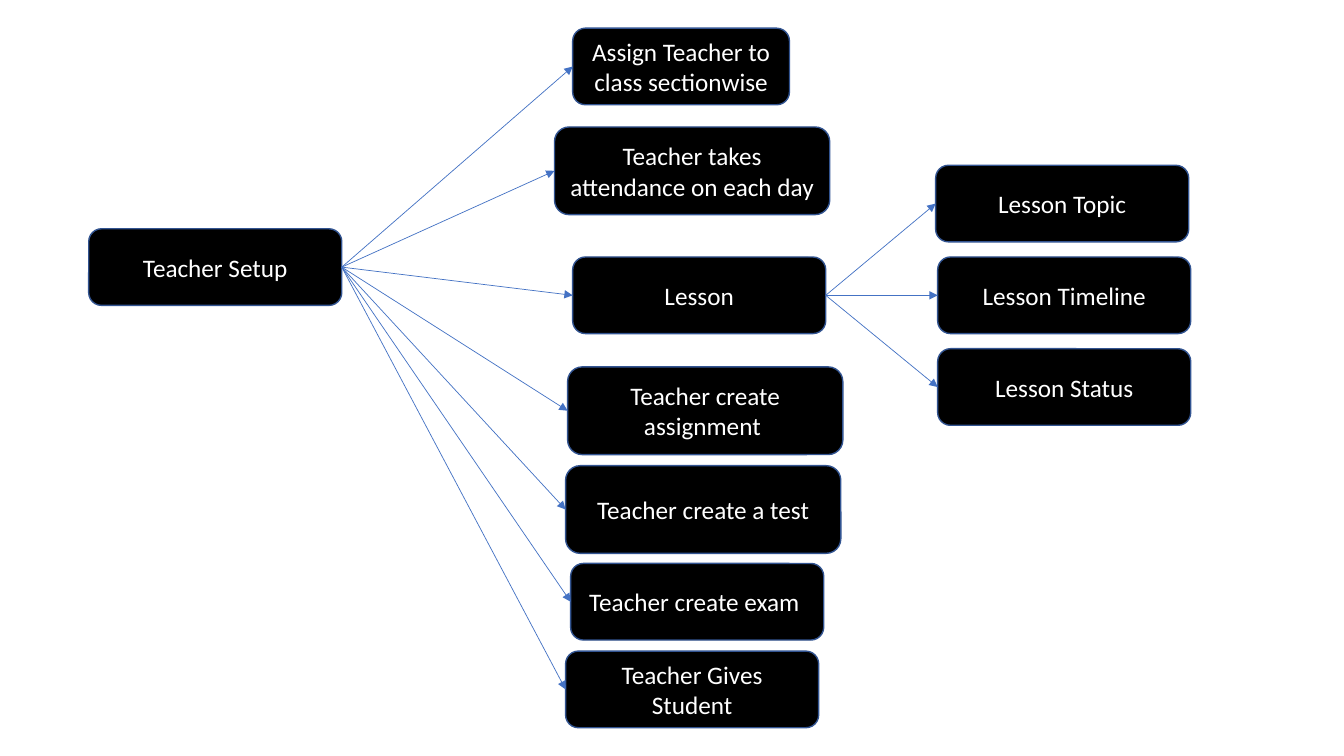
"""Build the teacher setup flow diagram slide."""
from lxml import etree
from pptx import Presentation
from pptx.dml.color import RGBColor
from pptx.enum.shapes import MSO_CONNECTOR, MSO_SHAPE
from pptx.enum.text import MSO_ANCHOR, PP_ALIGN
from pptx.oxml.ns import qn
from pptx.util import Inches, Pt

COLORS = {"box": "000000", "edge": "325491", "arrow": "4472C4", "text": "FFFFFF"}
SMALL, MEDIUM, LARGE = (2.15, 0.76), (2.51, 0.76), (2.73, 0.87)
LEFT_SITE, RIGHT_SITE = 1, 3

ROOT = ("Teacher Setup", 0.88, 2.27, MEDIUM)
TASKS = [
    ("Assign Teacher to class sectionwise", 5.68, 0.28, SMALL),
    ("Teacher takes attendance on each day ", 5.5, 1.26, LARGE),
    ("Lesson", 5.68, 2.55, MEDIUM),
    ("Teacher create assignment ", 5.63, 3.64, LARGE),
    ("Teacher create a test", 5.61, 4.62, LARGE),
    ("Teacher create exam ", 5.66, 5.59, MEDIUM),
    ("Teacher Gives Student", 5.61, 6.46, MEDIUM),
]
LESSONS = [
    ("Lesson Topic", 9.28, 1.64, MEDIUM),
    ("Lesson Timeline", 9.3, 2.55, MEDIUM),
    ("Lesson Status", 9.3, 3.46, MEDIUM),
]


def color(name):
    return RGBColor.from_string(COLORS[name])


def write(shape, text, size=18, font="Calibri", fill="text", align=PP_ALIGN.CENTER):
    frame = shape.text_frame
    frame.word_wrap = True
    frame.vertical_anchor = MSO_ANCHOR.MIDDLE
    para = frame.paragraphs[0]
    para.alignment = align
    run = para.add_run()
    run.text = text
    run.font.size = Pt(size)
    run.font.name = font
    run.font.color.rgb = color(fill)


def add_box(slide, text, left, top, size):
    width, height = size
    box = slide.shapes.add_shape(
        MSO_SHAPE.ROUNDED_RECTANGLE,
        Inches(left), Inches(top), Inches(width), Inches(height))
    box.shadow.inherit = False
    box.fill.solid()
    box.fill.fore_color.rgb = color("box")
    box.line.color.rgb = color("edge")
    box.line.width = Pt(1)
    write(box, text)
    return box


def add_arrow(slide, source, target):
    arrow = slide.shapes.add_connector(MSO_CONNECTOR.STRAIGHT, 0, 0, 0, 0)
    arrow.begin_connect(source, RIGHT_SITE)
    arrow.end_connect(target, LEFT_SITE)
    arrow.line.color.rgb = color("arrow")
    arrow.line.width = Pt(0.5)
    etree.SubElement(arrow.line._get_or_add_ln(), qn("a:tailEnd"), type="triangle")
    etree.SubElement(arrow._element.spPr, qn("a:effectLst"))


def add_branch(slide, source, items):
    boxes = {}
    for item in items:
        boxes[item[0]] = add_box(slide, *item)
        add_arrow(slide, source, boxes[item[0]])
    return boxes


def main():
    deck = Presentation()
    deck.slide_width, deck.slide_height = Inches(13.33), Inches(7.5)
    slide = deck.slides.add_slide(deck.slide_layouts.get_by_name("Blank"))
    root = add_box(slide, *ROOT)
    tasks = add_branch(slide, root, TASKS)
    add_branch(slide, tasks["Lesson"], LESSONS)
    deck.save("out.pptx")


if __name__ == "__main__":
    main()
